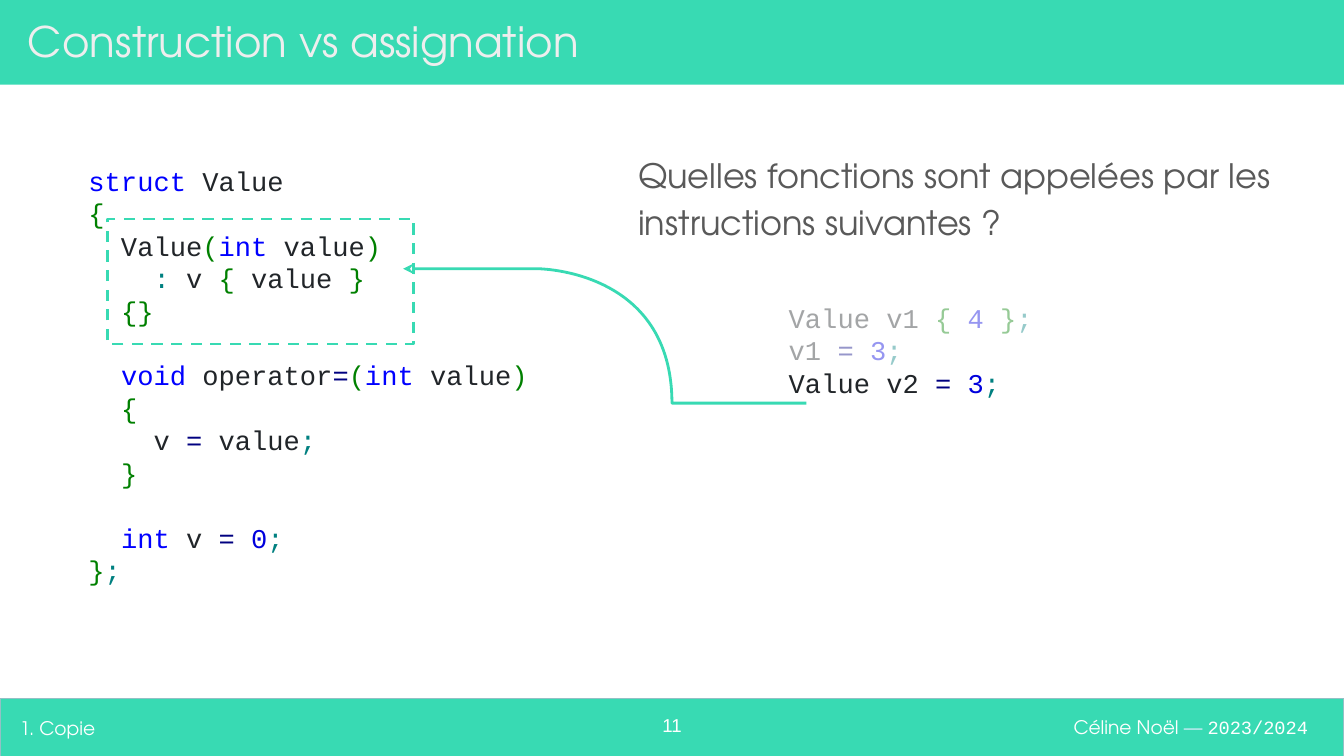
from itertools import groupby

from lxml import etree
from pptx import Presentation
from pptx.dml.color import RGBColor
from pptx.enum.dml import MSO_LINE_DASH_STYLE as Dash
from pptx.enum.shapes import MSO_SHAPE as Shape
from pptx.enum.text import MSO_ANCHOR as Anchor, PP_ALIGN as Align
from pptx.oxml.ns import qn
from pptx.util import Inches, Pt

COLORS = {
    "accent": "38DAB3", "footer_line": "93C0C5", "white": "FFFFFF",
    "title": "EEEEEE", "dash": "E2EEFF", "question": "595959",
    "plain": "212529", "keyword": "0000FF", "number": "0000DD",
    "bracket": "008000", "operator": "000080", "punctuation": "008080",
}
SANS, MONO = "TeX Gyre Adventor", "Courier New"
KEYWORDS = {"struct", "int", "void"}
SYMBOLS = {"{": "bracket", "}": "bracket", "(": "bracket", ")": "bracket",
           "=": "operator", ";": "punctuation", ":": "punctuation"}

STRUCT_CODE = """struct Value
{
  Value(int value)
    : v { value }
  {}

  void operator=(int value)
  {
    v = value;
  }

  int v = 0;
};"""
CALLS_CODE = """Value v1 { 4 };
v1 = 3;
Value v2 = 3;"""

# Start point, then three points for each Bézier segment
ARROW_POINTS = [
    (5.77, 2.87),
    (5.48, 2.82), (5.17, 2.82), (4.92, 2.67),
    (4.63, 2.5), (4.48, 2.1), (4.15, 2.02),
    (3.94, 1.97), (3.71, 1.98), (3.52, 2.07),
    (3.37, 2.15), (3.23, 2.3), (3.06, 2.3),
]


def rgb(color):
    return RGBColor.from_string(COLORS[color])


def add_box(slide, bounds, fill=None, line=None, width=0.75):
    box = slide.shapes.add_shape(Shape.RECTANGLE, *map(Inches, bounds))
    box.shadow.inherit = False
    if fill:
        box.fill.solid()
        box.fill.fore_color.rgb = rgb(fill)
    else:
        box.fill.background()
    if line:
        box.line.color.rgb = rgb(line)
        box.line.width = Pt(width)
    else:
        box.line.fill.background()
    return box


def add_frame(slide, bounds, anchor=Anchor.TOP):
    frame = slide.shapes.add_textbox(*map(Inches, bounds)).text_frame
    frame.word_wrap = True
    frame.vertical_anchor = anchor
    frame.margin_left = frame.margin_right = Inches(0.1)
    frame.margin_top = frame.margin_bottom = Inches(0.1)
    return frame


def add_run(paragraph, text, size, color, font):
    run = paragraph.add_run()
    run.text = text
    run.font.size = Pt(size)
    run.font.name = font
    run.font.color.rgb = rgb(color)


def add_label(slide, bounds, text, size, color, font=SANS,
              anchor=Anchor.MIDDLE, align=Align.LEFT):
    paragraph = add_frame(slide, bounds, anchor).paragraphs[0]
    paragraph.alignment = align
    add_run(paragraph, text, size, color, font)
    return paragraph


def token_color(token):
    if token in KEYWORDS:
        return "keyword"
    if token.isdigit():
        return "number"
    return SYMBOLS.get(token[0], "plain")


def char_class(char):
    return "space" if char == " " else SYMBOLS.get(char, "word")


def add_code(slide, bounds, code):
    """Syntax-coloured code, one paragraph per line."""
    frame = add_frame(slide, bounds)
    for index, line in enumerate(code.split("\n")):
        paragraph = frame.add_paragraph() if index else frame.paragraphs[0]
        for _, chars in groupby(line or " ", char_class):
            token = "".join(chars)
            add_run(paragraph, token, 14.5, token_color(token), MONO)


def add_curved_arrow(slide, points):
    start, *rest = points
    builder = slide.shapes.build_freeform(*start, scale=Inches(1))
    builder.add_line_segments(rest, close=False)
    arrow = builder.convert_to_shape()
    arrow.shadow.inherit = False
    arrow.fill.background()
    arrow.line.color.rgb = rgb("accent")
    arrow.line.width = Pt(1.5)
    etree.SubElement(arrow.line._get_or_add_ln(), qn("a:tailEnd"), type="stealth")

    # Every three straight segments become one cubic Bézier segment
    outline = next(arrow._element.iter(qn("a:path")))
    segments = outline.findall(qn("a:lnTo"))
    for first in range(0, len(segments), 3):
        curve = etree.SubElement(outline, qn("a:cubicBezTo"))
        for segment in segments[first:first + 3]:
            curve.append(segment[0])
            outline.remove(segment)


def add_veil(slide, bounds, opacity):
    """Translucent white box that dims what lies under it."""
    veil = add_box(slide, bounds, fill="white")
    color = next(veil._element.spPr.iter(qn("a:srgbClr")))
    etree.SubElement(color, qn("a:alpha"), val=str(opacity * 1000))


def add_bars(slide):
    add_box(slide, (0, 5.2, 10, 0.44), fill="accent", line="footer_line")
    add_box(slide, (0, 0, 10, 0.63), fill="accent")
    add_label(slide, (0.11, 0.06, 9.48, 0.48), "Construction vs assignation", 22.5, "title")
    add_label(slide, (0.05, 5.2, 4.54, 0.44), "1. Copie", 10, "white")
    add_label(slide, (4.7, 5.23, 0.6, 0.36), "11", 10, "white", "Arial",
              Anchor.TOP, Align.CENTER)
    credit = add_label(slide, (7.18, 5.19, 2.65, 0.44), "Céline Noël ", 10, "white",
                       align=Align.RIGHT)
    add_run(credit, "— ", 10, "dash", SANS)
    add_run(credit, "2023/2024", 10, "white", MONO)


def main():
    prs = Presentation()
    prs.slide_width, prs.slide_height = Inches(10), Inches(5.625)
    slide = prs.slides.add_slide(prs.slide_layouts[6])

    add_bars(slide)
    add_code(slide, (5.77, 2.14, 2.12, 0.93), CALLS_CODE)
    add_code(slide, (0.56, 1.12, 3.52, 3.38), STRUCT_CODE)
    question = add_label(
        slide, (4.65, 1.01, 5.1, 0.85),
        "Quelles fonctions sont appelées par les instructions suivantes ?",
        18, "question", anchor=Anchor.TOP)
    question.line_spacing = 1.15
    question.space_after = Pt(12)

    constructor = add_box(slide, (0.8, 1.63, 2.28, 0.93), line="accent", width=1.5)
    constructor.line.dash_style = Dash.DASH
    add_curved_arrow(slide, ARROW_POINTS)
    add_veil(slide, (5.66, 2.17, 2.62, 0.57), 59)

    prs.save("out.pptx")


if __name__ == "__main__":
    main()
